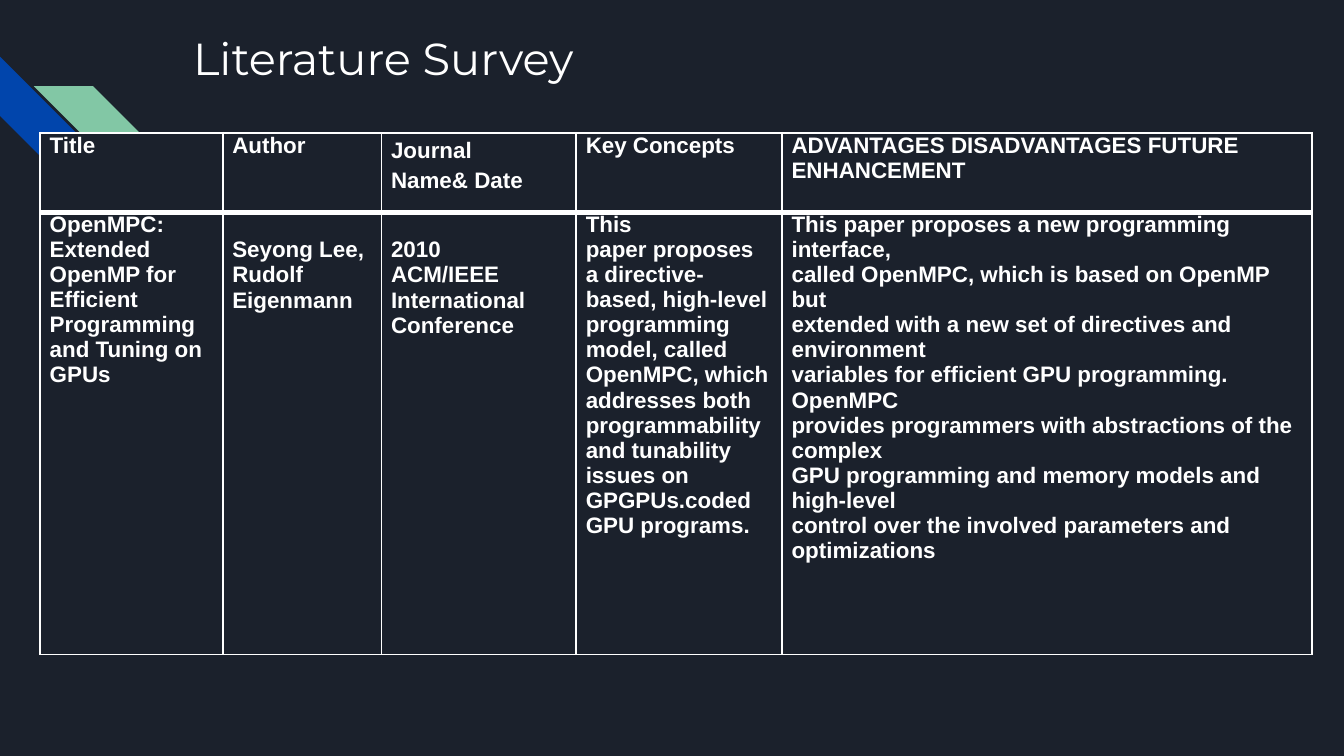
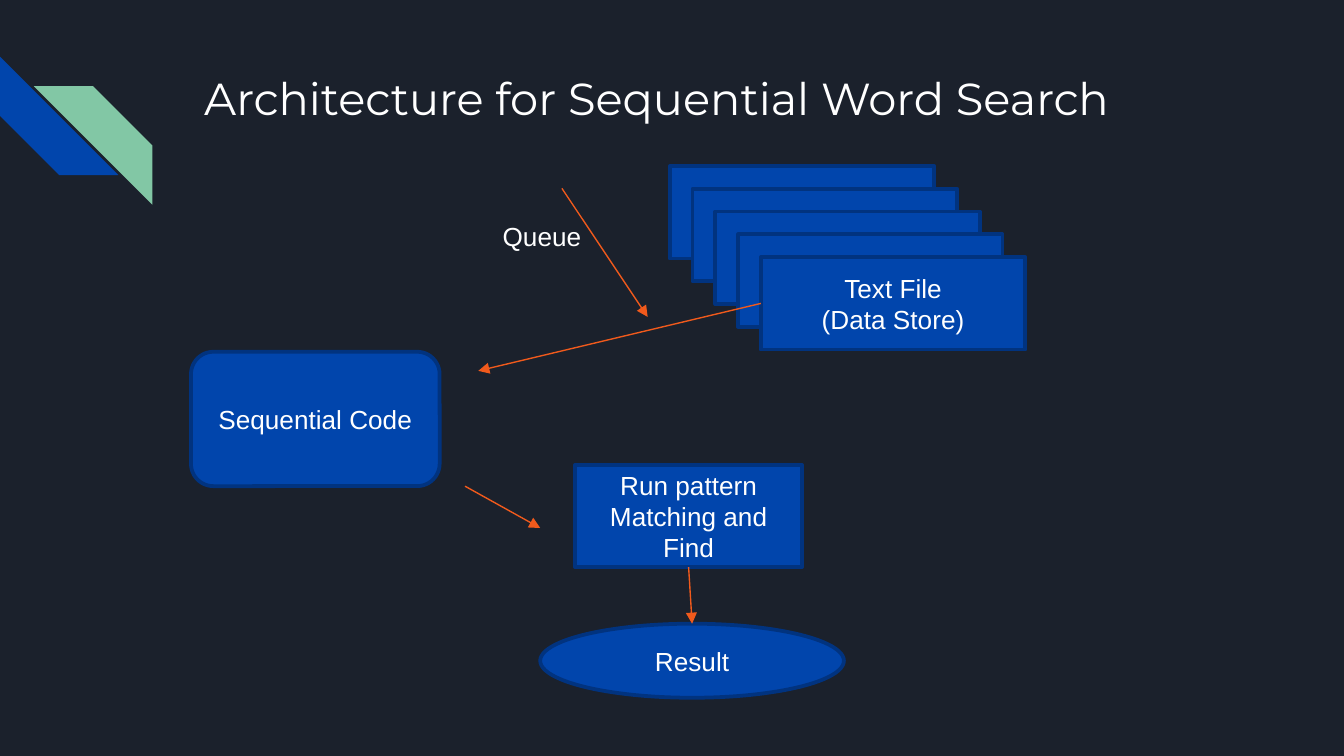
"""Builds a literature survey slide and a sequential word search diagram."""
from dataclasses import dataclass
from typing import Optional

from lxml.etree import SubElement
from pptx import Presentation
from pptx.dml.color import RGBColor
from pptx.enum.shapes import MSO_CONNECTOR, MSO_SHAPE
from pptx.enum.text import MSO_ANCHOR, MSO_AUTO_SIZE, PP_ALIGN
from pptx.oxml.ns import qn
from pptx.util import Cm, Pt


@dataclass(frozen=True)
class Theme:
    background: str = "1B212C"
    blue: str = "0145AC"
    outline: str = "01337F"
    green: str = "82C7A5"
    orange: str = "F15A1C"
    white: str = "FFFFFF"
    title_font: str = "Montserrat"
    body_font: str = "Arial"
    title_size: float = 24
    diagram_size: float = 14
    table_size: float = 12
    outline_width: float = 2
    arrow_width: float = 0.75
    thin_border: float = 1
    thick_border: float = 3


@dataclass(frozen=True)
class Box:
    left: float
    top: float
    width: float
    height: float
    text: str = ""
    kind: MSO_SHAPE = MSO_SHAPE.RECTANGLE


@dataclass(frozen=True)
class Stripe:
    left: float
    top: float
    rotation: float
    color: str


@dataclass(frozen=True)
class Arrow:
    start: tuple[float, float]
    end: tuple[float, float]
    source: Optional[Box] = None
    source_side: int = 0
    target: Optional[Box] = None
    target_side: int = 0


@dataclass(frozen=True)
class Column:
    width: float
    heading: str
    body: str
    body_offset: float = 0
    heading_spacing: Optional[float] = None
    right_margin: float = 0.25


THEME = Theme()
TITLE_LAYOUT = 5
STRIPE_SIDE = 2.24
STRIPES = (
    Stripe(0, 1.07, 270, THEME.blue),
    Stripe(0.64, 1.63, 90, THEME.green),
)

ROW_HEIGHTS = (1.5, 8.36)
CELL_INDENT = 0.18
BODY_LINE = 0.48
COLUMNS = (
    Column(3.45, "Title",
           "OpenMPC: Extended OpenMP for Efficient\n"
           "Programming and Tuning on GPUs"),
    Column(3, "Author", "Seyong Lee,\nRudolf Eigenmann", BODY_LINE),
    Column(3.68, "Journal Name& Date",
           "2010 ACM/IEEE International Conference", BODY_LINE, 16.1, 0.66),
    Column(3.89, "Key Concepts",
           "This\n"
           "paper proposes a directive-based, high-level programming model, "
           "called OpenMPC, which\n"
           "addresses both programmability and tunability issues on "
           "GPGPUs.coded GPU programs."),
    Column(10.01, "ADVANTAGES DISADVANTAGES FUTURE ENHANCEMENT",
           "This paper proposes a new programming interface,\n"
           "called OpenMPC, which is based on OpenMP but\n"
           "extended with a new set of directives and environment\n"
           "variables for efficient GPU programming. OpenMPC\n"
           "provides programmers with abstractions of the complex\n"
           "GPU programming and memory models and high-level\n"
           "control over the involved parameters and optimizations"),
)

FILE_COUNT = 5
FILE_STEP = 0.43
FILES = tuple(
    Box(12.66 + FILE_STEP * index, 3.14 + FILE_STEP * index, 5, 1.75,
        "Text File\n(Data Store)" if index == FILE_COUNT - 1 else "")
    for index in range(FILE_COUNT)
)
CODE = Box(3.61, 6.65, 4.7, 2.54, "Sequential Code", MSO_SHAPE.ROUNDED_RECTANGLE)
MATCHING = Box(10.87, 8.79, 4.29, 1.93, "Run pattern Matching and Find")
RESULT = Box(10.21, 11.79, 5.74, 1.4, "Result", MSO_SHAPE.OVAL)
QUEUE = Box(9.25, 4.04, 3.96, 0.86, "Queue")
ARROWS = (
    Arrow((14.38, 5.74), (9.04, 7.01), source=FILES[-1], source_side=1),
    Arrow((8.79, 9.19), (10.21, 9.98)),
    Arrow((13.02, 10.72), (13.08, 11.79), MATCHING, 2, RESULT, 0),
    Arrow((10.62, 3.56), (12.24, 5.99)),
)


def rgb(color: str) -> RGBColor:
    """Turns a hexadecimal colour into a colour object."""
    return RGBColor.from_string(color)


def paint(shape, color: str) -> None:
    """Fills a shape or cell with one colour."""
    shape.fill.solid()
    shape.fill.fore_color.rgb = rgb(color)


def write(frame, text: str, size: float, font: str = THEME.body_font,
          bold: bool = False, align: PP_ALIGN = PP_ALIGN.LEFT) -> None:
    """Sets the text of a frame and formats all its runs."""
    frame.text = text
    frame.word_wrap = True
    for para in frame.paragraphs:
        para.alignment = align
        for span in para.runs:
            span.font.name = font
            span.font.size = Pt(size)
            span.font.bold = bold
            span.font.color.rgb = rgb(THEME.white)


def draw_stripes(page, layout) -> None:
    """Draws the corner stripes and places them behind the layout's contents."""
    for index, stripe in enumerate(STRIPES):
        shape = page.shapes.add_shape(
            MSO_SHAPE.DIAGONAL_STRIPE, Cm(stripe.left), Cm(stripe.top),
            Cm(STRIPE_SIDE), Cm(STRIPE_SIDE))
        shape.rotation = stripe.rotation
        shape.shadow.inherit = False
        shape.line.fill.background()
        paint(shape, stripe.color)
        shape.element.nvSpPr.cNvPr.id = 20 + index
        layout.shapes.element.insert(2 + index, shape.element)


def add_page(deck, title: str, left: float, top: float):
    """Adds a slide with its title placed and formatted."""
    page = deck.slides.add_slide(deck.slide_layouts[TITLE_LAYOUT])
    box = page.shapes.title
    box.left, box.top = Cm(left), Cm(top)
    box.width, box.height = Cm(19.56), Cm(2.54)
    frame = box.text_frame
    write(frame, title, THEME.title_size, THEME.title_font)
    frame.vertical_anchor = MSO_ANCHOR.TOP
    frame.auto_size = MSO_AUTO_SIZE.NONE
    frame.margin_left = frame.margin_right = Cm(0.25)
    frame.margin_top = frame.margin_bottom = Cm(0.25)
    return page


def add_borders(cell, top: float, bottom: float) -> None:
    """Draws the four borders of a cell."""
    properties = cell._tc.get_or_add_tcPr()
    widths = {"lnL": THEME.thin_border, "lnR": THEME.thin_border,
              "lnT": top, "lnB": bottom}
    for tag, width in widths.items():
        line = SubElement(properties, qn(f"a:{tag}"), w=str(Pt(width)))
        fill = SubElement(line, qn("a:solidFill"))
        SubElement(fill, qn("a:srgbClr"), val=THEME.white)


def fill_cell(cell, text: str, right: float, top: float, bottom: float,
              offset: float = 0) -> None:
    """Writes and styles one cell."""
    cell.margin_left, cell.margin_top = Cm(CELL_INDENT), Cm(offset)
    cell.margin_right, cell.margin_bottom = Cm(right), 0
    cell.vertical_anchor = MSO_ANCHOR.TOP
    add_borders(cell, top, bottom)
    paint(cell, THEME.background)
    write(cell.text_frame, text, THEME.table_size, bold=True)


def add_survey_table(page) -> None:
    """Adds the literature table."""
    table = page.shapes.add_table(
        len(ROW_HEIGHTS), len(COLUMNS), Cm(0.76), Cm(2.51),
        Cm(sum(column.width for column in COLUMNS)), Cm(sum(ROW_HEIGHTS))).table
    table.horz_banding = False
    for row, height in zip(table.rows, ROW_HEIGHTS):
        row.height = Cm(height)
    for index, column in enumerate(COLUMNS):
        table.columns[index].width = Cm(column.width)
        heading, body = table.cell(0, index), table.cell(1, index)
        fill_cell(heading, column.heading, column.right_margin,
                  THEME.thin_border, THEME.thick_border)
        fill_cell(body, column.body, column.right_margin,
                  THEME.thick_border, THEME.thin_border, column.body_offset)
        if column.heading_spacing:
            heading.text_frame.paragraphs[0].line_spacing = Pt(column.heading_spacing)


def add_box(page, box: Box):
    """Adds one filled node of the diagram."""
    shape = page.shapes.add_shape(
        box.kind, Cm(box.left), Cm(box.top), Cm(box.width), Cm(box.height))
    shape.shadow.inherit = False
    paint(shape, THEME.blue)
    shape.line.color.rgb = rgb(THEME.outline)
    shape.line.width = Pt(THEME.outline_width)
    if box.text:
        write(shape.text_frame, box.text, THEME.diagram_size, align=PP_ALIGN.CENTER)
        shape.text_frame.vertical_anchor = MSO_ANCHOR.MIDDLE
    return shape


def add_arrow(page, arrow: Arrow, shapes: dict) -> None:
    """Adds one arrow and joins it to its boxes."""
    connector = page.shapes.add_connector(
        MSO_CONNECTOR.STRAIGHT, *(Cm(value) for value in arrow.start + arrow.end))
    if arrow.source:
        connector.begin_connect(shapes[arrow.source], arrow.source_side)
    if arrow.target:
        connector.end_connect(shapes[arrow.target], arrow.target_side)
    connector.line.color.rgb = rgb(THEME.orange)
    connector.line.width = Pt(THEME.arrow_width)
    properties = connector.element.spPr
    SubElement(properties.find(qn("a:ln")), qn("a:tailEnd"), type="triangle")
    SubElement(properties, qn("a:effectLst"))


def add_diagram(page) -> None:
    """Adds the nodes, arrows and queue label."""
    shapes = {box: add_box(page, box) for box in (*FILES, CODE, MATCHING, RESULT)}
    for arrow in ARROWS:
        add_arrow(page, arrow, shapes)
    label = page.shapes.add_textbox(
        Cm(QUEUE.left), Cm(QUEUE.top), Cm(QUEUE.width), Cm(QUEUE.height))
    write(label.text_frame, QUEUE.text, THEME.diagram_size)
    label.text_frame.auto_size = MSO_AUTO_SIZE.SHAPE_TO_FIT_TEXT


def main() -> None:
    """Builds and saves the deck."""
    deck = Presentation()
    deck.slide_width, deck.slide_height = Cm(25.4), Cm(14.29)
    paint(deck.slide_master.background, THEME.background)
    survey = add_page(deck, "Literature Survey", 3.4, 0.33)
    draw_stripes(survey, deck.slide_layouts[TITLE_LAYOUT])
    add_survey_table(survey)
    add_diagram(add_page(deck, "Architecture for Sequential Word Search", 3.61, 1.09))
    deck.save("out.pptx")


if __name__ == "__main__":
    main()
